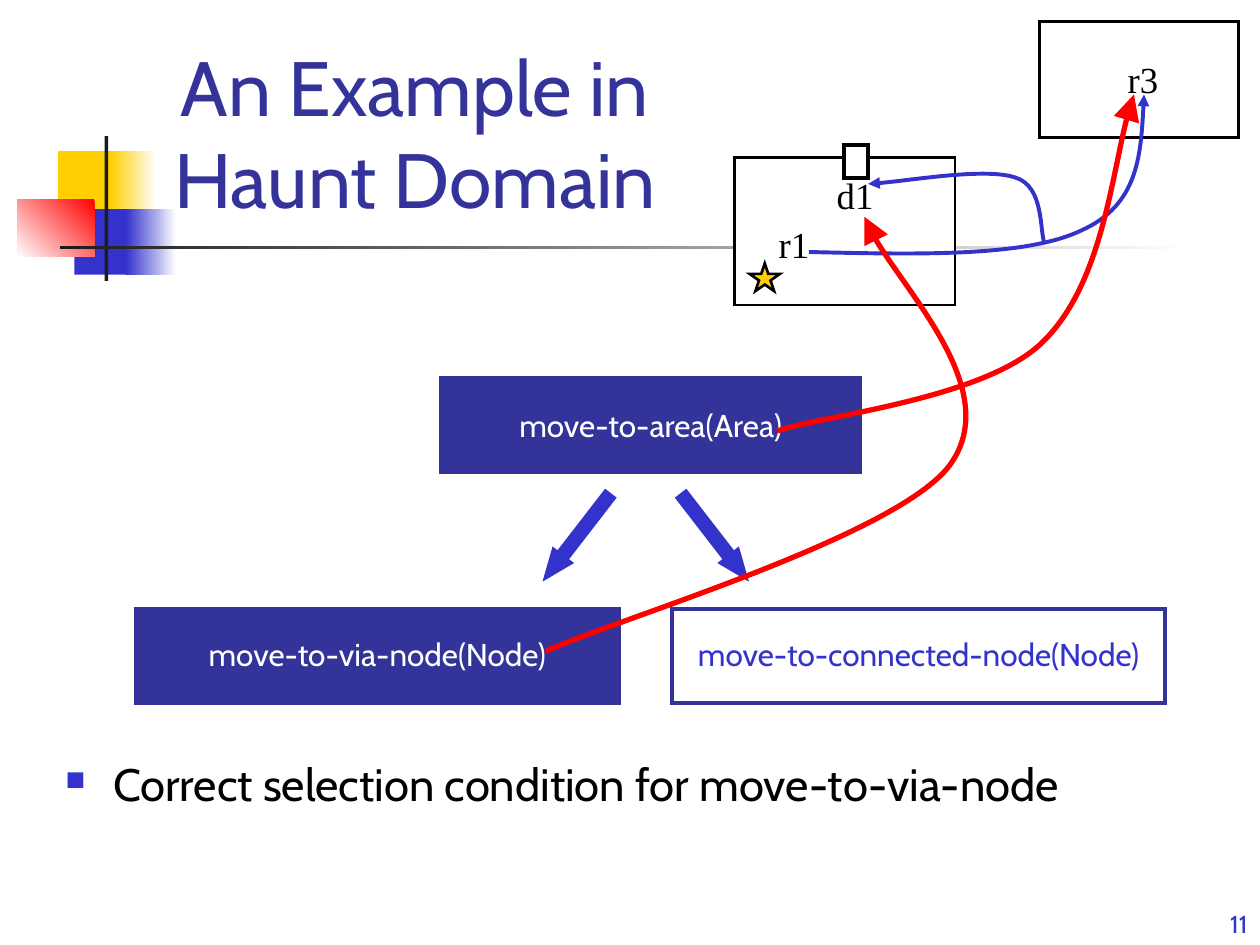
import lxml.etree
import pptx
import pptx.dml.color
import pptx.enum.shapes
import pptx.enum.text
import pptx.oxml
import pptx.oxml.ns
import pptx.util

Inches = pptx.util.Inches
Pt = pptx.util.Pt
RGBColor = pptx.dml.color.RGBColor
Shape = pptx.enum.shapes.MSO_SHAPE
Align = pptx.enum.text.PP_ALIGN
Anchor = pptx.enum.text.MSO_ANCHOR
qn = pptx.oxml.ns.qn

WHITE = RGBColor(0xFF, 0xFF, 0xFF)
BLACK = RGBColor(0, 0, 0)
CHARCOAL = RGBColor(0x1C, 0x1C, 0x1C)
YELLOW = RGBColor(0xFF, 0xCF, 0x01)
BLUE = RGBColor(0x33, 0x33, 0xCC)
NAVY = RGBColor(0x33, 0x33, 0x99)
RED = RGBColor(0xFF, 0, 0)
SANS = "Cabin"
SERIF = "Times New Roman"


def write_text(box, text, size=18, font=SANS, color=BLACK, align=Align.LEFT,
               anchor=Anchor.TOP, spacing=None, wrap=True, inset=(0.1, 0.05)):
    frame = box.text_frame
    frame.auto_size = pptx.enum.text.MSO_AUTO_SIZE.NONE
    frame.word_wrap = wrap
    frame.vertical_anchor = anchor
    frame.margin_left = frame.margin_right = Inches(inset[0])
    frame.margin_top = frame.margin_bottom = Inches(inset[1])
    para = frame.paragraphs[0]
    para.alignment = align
    if spacing:
        para.line_spacing = spacing
    span = para.add_run()
    span.text = text
    span.font.size = Pt(size)
    span.font.name = font
    span.font.color.rgb = color
    return para


def add_text(page, place, text, **style):
    box = page.shapes.add_textbox(*map(Inches, place))
    return write_text(box, text, **style)


def set_line(shape, color, width):
    shape.line.color.rgb = color
    shape.line.width = Pt(width)
    line = shape.element.spPr.find(qn("a:ln"))
    lxml.etree.SubElement(line, qn("a:miter"), lim="800000")
    return line


def add_block(page, place, fill, line=None, width=1.5, kind=Shape.RECTANGLE):
    block = page.shapes.add_shape(kind, *map(Inches, place))
    block.shadow.inherit = False
    if isinstance(fill, RGBColor):
        block.fill.solid()
        block.fill.fore_color.rgb = fill
    else:
        start, end, clockwise = fill
        block.fill.gradient()
        block.fill.gradient_angle = 360 - clockwise
        for stop, color, position in zip(block.fill.gradient_stops, (start, end), (0, 1)):
            stop.color.rgb = color
            stop.position = position
    if line is None:
        block.line.fill.background()
    else:
        set_line(block, line, width)
    return block


def add_curve(page, points, color, width, head="med"):
    start, *rest = [(Inches(x), Inches(y)) for x, y in points]
    builder = page.shapes.build_freeform(*start, scale=1.0)
    builder.add_line_segments(rest, close=False)
    curve = builder.convert_to_shape()
    curve.shadow.inherit = False
    curve.fill.background()
    outline = next(curve.element.iter(qn("a:path")))
    corners = outline.findall(qn("a:lnTo"))
    for first in range(0, len(corners), 3):
        bezier = lxml.etree.SubElement(outline, qn("a:cubicBezTo"))
        for corner in corners[first:first + 3]:
            bezier.append(corner[0])
            outline.remove(corner)
    line = set_line(curve, color, width)
    lxml.etree.SubElement(line, qn("a:tailEnd"), type="triangle", w=head, len=head)


def add_bullet(para, char, color, percent):
    props = para._p.get_or_add_pPr()
    props.set("marL", str(Inches(0.38)))
    props.set("indent", str(Inches(-0.38)))
    bullet_color = lxml.etree.SubElement(props, qn("a:buClr"))
    lxml.etree.SubElement(bullet_color, qn("a:srgbClr"), val=str(color))
    lxml.etree.SubElement(props, qn("a:buSzPct"), val=str(percent * 1000))
    lxml.etree.SubElement(props, qn("a:buChar"), char=char)


def add_decoration(page):
    add_block(page, (0.46, 1.2, 0.48, 0.52), YELLOW)
    add_block(page, (0.88, 1.2, 0.36, 0.52), (WHITE, YELLOW, 180))
    add_block(page, (0.59, 1.66, 0.46, 0.52), BLUE)
    add_block(page, (1, 1.66, 0.4, 0.52), (WHITE, BLUE, 180))
    add_block(page, (0.14, 1.58, 0.61, 0.46), (RED, WHITE, 135))
    add_block(page, (0.83, 1.08, 0.03, 1.15), CHARCOAL)
    add_block(page, (0.48, 1.95, 9, 0.03), (WHITE, CHARCOAL, 180))


def add_map(page):
    add_block(page, (5.83, 1.25, 1.75, 1.17), WHITE, BLACK)
    add_block(page, (8.25, 0.17, 1.58, 0.92), WHITE, BLACK)
    add_block(page, (6.7, 1.15, 0.19, 0.26), WHITE, BLACK, 2.25)
    for name, left, top in (("r1", 6.18, 1.76), ("r3", 8.95, 0.45), ("d1", 6.64, 1.37)):
        add_text(page, (left, top, 0.29, 0.35), name, size=21, font=SERIF,
                 wrap=False, inset=(0, 0))
    add_block(page, (5.95, 2.09, 0.24, 0.22), YELLOW, BLACK, kind=Shape.STAR_5_POINT)
    add_curve(page, [(6.42, 2), (7.28, 2.02), (8.14, 2.04), (8.58, 1.83),
                     (9.03, 1.63), (9.06, 1.19), (9.08, 0.75)], BLUE, 2.25)
    add_curve(page, [(8.29, 1.93), (8.25, 1.84), (8.29, 1.48), (8.06, 1.41),
                     (7.83, 1.33), (7.13, 1.45), (6.89, 1.46)], BLUE, 2.25)


def add_tasks(page):
    tasks = (
        ("move-to-via-node(Node)", 1.08, 4.83, 3.83, NAVY, WHITE, 0.9),
        ("move-to-area(Area)", 3.5, 3, 3.33, NAVY, WHITE, None),
        ("move-to-connected-node(Node)", 5.33, 4.83, 3.92, WHITE, BLUE, 0.9),
    )
    for name, left, top, width, fill, color, spacing in tasks:
        block = add_block(page, (left, top, width, 0.75), fill, NAVY, 2.25)
        write_text(block, name, color=color, align=Align.CENTER,
                   anchor=Anchor.MIDDLE, spacing=spacing)
    for left, angle in ((4.17, 127.7), (5.25, 52.3)):
        arrow = add_block(page, (left, 4.17, 0.83, 0.17), BLUE, BLUE, 2.25, Shape.RIGHT_ARROW)
        arrow.adjustments[1] = 1.25
        arrow.rotation = angle
    add_curve(page, [(4.33, 5.17), (4.87, 4.92), (7.12, 4.26), (7.54, 3.69),
                     (7.96, 3.11), (7.01, 2.13), (6.86, 1.72)], RED, 3, "lg")
    add_curve(page, [(6.17, 3.42), (6.52, 3.3), (7.79, 3.17), (8.26, 2.73),
                     (8.74, 2.28), (8.85, 1.16), (9, 0.75)], RED, 3, "lg")


def main():
    deck = pptx.Presentation()
    deck.slide_width = Inches(10)
    deck.slide_height = Inches(7.5)
    page = deck.slides.add_slide(deck.slide_layouts[5])
    title = page.shapes.title
    title.left, title.top, title.width, title.height = map(Inches, (1.26, 0.23, 4.07, 1.6))
    write_text(title, "An Example in Haunt Domain", size=44, color=NAVY,
               align=Align.CENTER, anchor=Anchor.BOTTOM)
    add_decoration(page)
    add_map(page)
    para = add_text(page, (0.42, 6, 9.17, 0.96),
                    "Correct selection condition for move-to-via-node",
                    size=25.9, spacing=0.9)
    add_bullet(para, "■", BLUE, 60)
    add_tasks(page)
    add_text(page, (7.92, 7, 2.08, 0.5), "11", size=14, color=BLUE,
             align=Align.RIGHT, anchor=Anchor.BOTTOM)
    deck.save("out.pptx")


if __name__ == "__main__":
    main()
